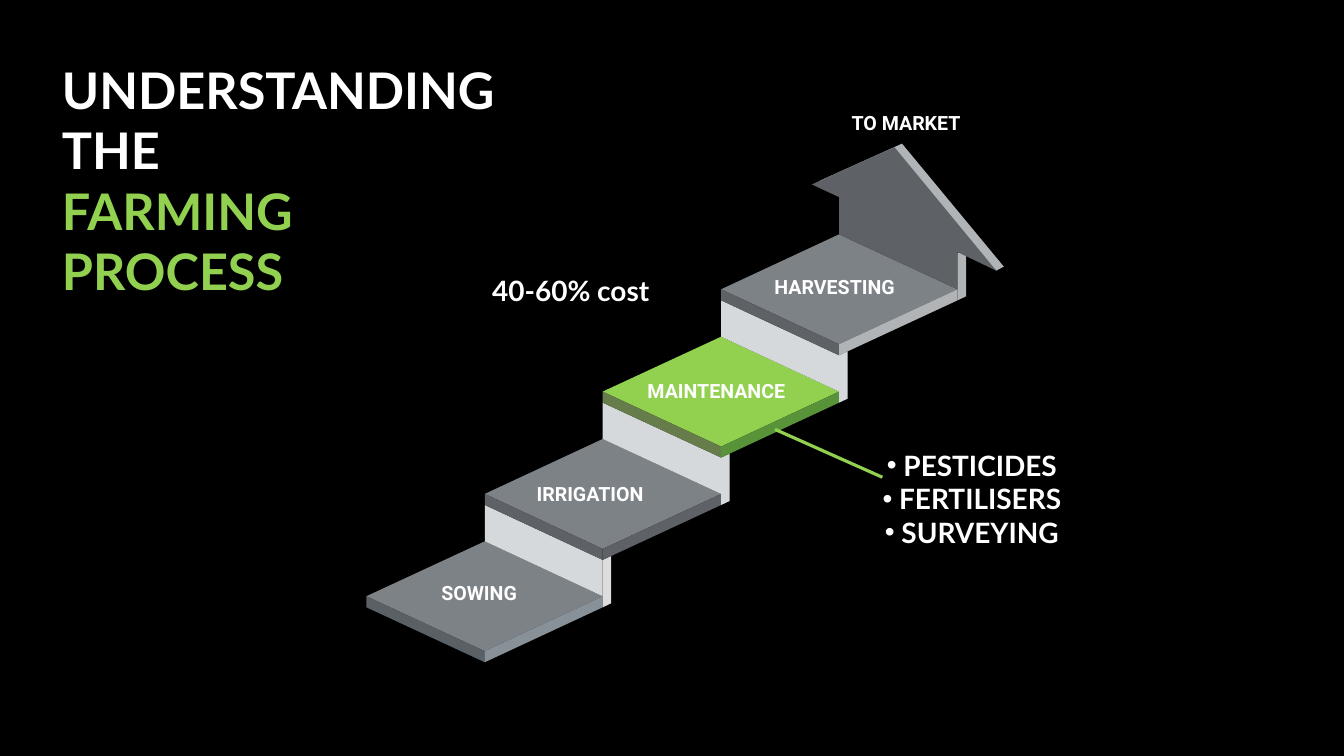
from dataclasses import dataclass

from lxml import etree
from pptx import Presentation
from pptx.dml.color import RGBColor
from pptx.enum.shapes import MSO_CONNECTOR, MSO_SHAPE
from pptx.enum.text import MSO_ANCHOR, MSO_AUTO_SIZE, PP_ALIGN
from pptx.oxml.ns import qn
from pptx.util import Inches, Pt

LEFT, CENTER = PP_ALIGN.LEFT, PP_ALIGN.CENTER
TOP = MSO_ANCHOR.TOP
GROW, FIXED = MSO_AUTO_SIZE.SHAPE_TO_FIT_TEXT, MSO_AUTO_SIZE.NONE
RECTANGLE, STRAIGHT = MSO_SHAPE.RECTANGLE, MSO_CONNECTOR.STRAIGHT

BLACK, WHITE, GREEN = "000000", "FFFFFF", "92D050"
GREY, DARK, EDGE, RISER = "7D8287", "5E6165", "B1B4B7", "D6D9DC"

# Stair geometry: each step moves one column right and one rise up
COLUMNS = [7.27, 9.62, 11.96, 14.31, 16.65, 19.0]
FIRST_Y, RISE = 11.83, 2.03
HALF_DEPTH, THICKNESS = 1.09, 0.22
RETURN_W, RETURN_RISE = 0.17, 0.08

Point = tuple[float, float]


@dataclass
class Step:
    name: str
    label_box: tuple[float, float, float, float]
    top: str
    left: str
    right: str
    return_side: str


@dataclass
class TextStyle:
    font: str
    size: float
    align: PP_ALIGN = LEFT
    wrap: bool = True
    bullet: str = ""
    auto_size: MSO_AUTO_SIZE = GROW


STEPS = [
    Step("SOWING", (8.66, 11.48, 1.94, 0.57), GREY, "596167", "889198", "DDDDDD"),
    Step("IRRIGATION", (10.55, 9.51, 2.75, 0.57), GREY, DARK, DARK, RISER),
    Step("MAINTENANCE", (12.75, 7.46, 3.18, 0.57), GREEN, "667D4B", "599339", RISER),
    Step("HARVESTING", (15.27, 5.41, 2.84, 0.57), GREY, DARK, EDGE, EDGE),
]
LABEL = TextStyle("Roboto", 28, wrap=False)
HEADING = TextStyle("Lato", 72, auto_size=FIXED)
NOTE = TextStyle("Lato", 40, CENTER)
BULLETS = TextStyle("Lato", 40, CENTER, bullet="•")


def color(value: str) -> RGBColor:
    return RGBColor.from_string(value)


def add_polygon(shapes, points: list[Point], fill: str) -> None:
    corners = [(Inches(x), Inches(y)) for x, y in points]
    builder = shapes.build_freeform(*corners[0], scale=1.0)
    builder.add_line_segments(corners[1:], close=True)
    face = builder.convert_to_shape()
    face.shadow.inherit = False
    face.fill.solid()
    face.fill.fore_color.rgb = color(fill)
    face.line.fill.background()


def add_bullet(paragraph, mark: str) -> None:
    properties = paragraph._p.get_or_add_pPr()
    properties.set("marL", "0")
    properties.set("indent", "0")
    etree.SubElement(properties, qn("a:buFont")).set("typeface", "Arial")
    etree.SubElement(properties, qn("a:buChar")).set("char", mark)


def add_text(shapes, box: tuple, paragraphs: list[list[tuple[str, str]]],
             style: TextStyle) -> None:
    """Each paragraph is a list of (text, colour) runs parted by line breaks."""
    frame = shapes.add_textbox(*map(Inches, box)).text_frame
    settings = {"word_wrap": style.wrap, "auto_size": style.auto_size,
                "vertical_anchor": TOP}
    for name, value in settings.items():
        setattr(frame, name, value)
    font = {"name": style.font, "size": Pt(style.size), "bold": True}
    for i, runs in enumerate(paragraphs):
        paragraph = frame.add_paragraph() if i else frame.paragraphs[0]
        paragraph.alignment = style.align
        if style.bullet:
            add_bullet(paragraph, style.bullet)
        for j, (text, ink) in enumerate(runs):
            if j:
                paragraph.add_line_break()
            run = paragraph.add_run()
            run.text = text
            for name, value in font.items():
                setattr(run.font, name, value)
            run.font.color.rgb = color(ink)


def draw_step(shapes, index: int, step: Step) -> None:
    left, middle, right = COLUMNS[index:index + 3]
    side = FIRST_Y - index * RISE
    back, front = side - HALF_DEPTH, side + HALF_DEPTH
    bottom = side + THICKNESS
    riser_left = bottom - RISE
    riser_right = riser_left + HALF_DEPTH
    outer = right + RETURN_W

    # Slab
    add_polygon(shapes, [(middle, back), (left, side), (middle, front), (right, side)],
                step.top)
    for x, fill in ((left, step.left), (right, step.right)):
        add_polygon(shapes, [(x, side), (x, bottom), (middle, front + THICKNESS),
                             (middle, front)], fill)
    # Riser up to the next slab; the last step carries the arrow instead
    if index < len(STEPS) - 1:
        add_polygon(shapes, [(middle, riser_left), (middle, back), (right, side),
                             (right, riser_right)], RISER)
    add_polygon(shapes, [(outer, riser_right - RETURN_RISE), (outer, bottom - RETURN_RISE),
                         (right, bottom), (right, riser_right)], step.return_side)


def draw_arrow(shapes) -> None:
    add_polygon(shapes, [(17.9, 2.85), (16.26, 3.59), (19.51, 5.11), (19.77, 5.37),
                         (19.92, 5.29)], EDGE)
    add_polygon(shapes, [(19.77, 5.37), (17.75, 2.92), (16.11, 3.66), (16.65, 3.91),
                         (16.65, 4.65), (19, 5.74), (19, 5)], DARK)


def main() -> None:
    deck = Presentation()
    deck.slide_width, deck.slide_height = Inches(26.67), Inches(15)
    slide = deck.slides.add_slide(deck.slide_layouts[6])
    shapes = slide.shapes

    # Backdrop
    backdrop = shapes.add_shape(RECTANGLE, 0, 0, deck.slide_width, deck.slide_height)
    backdrop.shadow.inherit = False
    backdrop.fill.solid()
    backdrop.fill.fore_color.rgb = color(BLACK)
    backdrop.line.color.rgb = color(BLACK)
    backdrop.line.width = Pt(2)

    # Title
    add_text(shapes, (1.13, 1.12, 9.37, 2.41),
             [[("UNDERSTANDING THE", WHITE), ("FARMING PROCESS", GREEN)]], HEADING)

    # Staircase with arrow and step names
    stairs = shapes.add_group_shape().shapes
    for index, step in enumerate(STEPS):
        draw_step(stairs, index, step)
    draw_arrow(stairs)
    for step in STEPS:
        add_text(stairs, step.label_box, [[(step.name, WHITE)]], LABEL)
    add_text(shapes, (16.8, 2.15, 2.52, 0.57), [[("TO MARKET", WHITE)]], LABEL)

    # Maintenance callout
    leader = shapes.add_connector(STRAIGHT, Inches(15.38), Inches(8.52),
                                  Inches(17.51), Inches(9.47))
    leader.line.color.rgb = color(GREEN)
    leader.line.width = Pt(4.5)
    etree.SubElement(leader._element.spPr, qn("a:effectLst"))
    tasks = [" PESTICIDES", " FERTILISERS", " SURVEYING"]
    add_text(shapes, (17.12, 8.84, 4.33, 2.12), [[(task, WHITE)] for task in tasks], BULLETS)
    add_text(shapes, (9.16, 5.37, 4.33, 0.77), [[("40-60% cost", WHITE)]], NOTE)

    deck.save("out.pptx")


if __name__ == "__main__":
    main()
